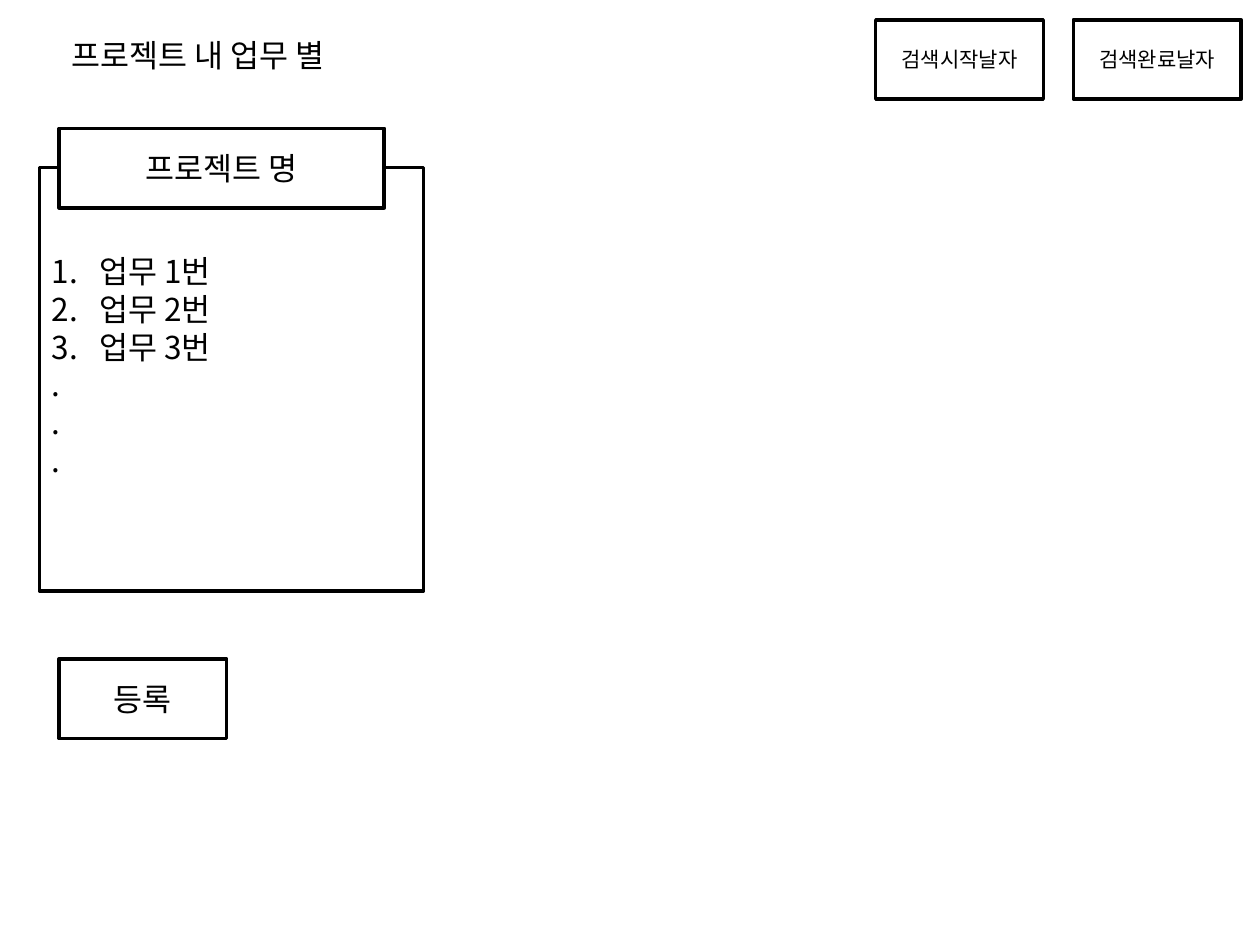
from dataclasses import dataclass

from lxml.etree import SubElement
from pptx import Presentation
from pptx.dml.color import RGBColor
from pptx.enum.shapes import MSO_SHAPE as Shapes
from pptx.enum.text import MSO_ANCHOR as Anchor, MSO_AUTO_SIZE as AutoSize, PP_ALIGN as Align
from pptx.oxml.ns import qn
from pptx.util import Pt

BLACK = RGBColor(0x00, 0x00, 0x00)
WHITE = RGBColor(0xFF, 0xFF, 0xFF)
FONT = "Noto Sans CJK KR"
TEXT_SIZE = 18
LINE_HEIGHT = 21.7
INDENT = 27
LEFT = 33.8
BUTTON_WIDTH, BOX_HEIGHT = 95.8, 45.4
DATE_LEFT, DATE_TOP, DATE_STEP = 500.4, 11.3, 113
TASK_COUNT, DOT_COUNT = 3, 3


@dataclass(frozen=True)
class Box:
    text: str
    left: float
    top: float
    width: float
    height: float = BOX_HEIGHT
    size: float = TEXT_SIZE


BOXES = [
    Box("프로젝트 명", LEFT, 73.4, 185.8),
    *(
        Box(text, DATE_LEFT + index * DATE_STEP, DATE_TOP, BUTTON_WIDTH, size=12)
        for index, text in enumerate(["검색시작날자", "검색완료날자"])
    ),
    Box("등록", LEFT, 376.6, BUTTON_WIDTH),
]
TASK_PANEL = Box("", 22.5, 95.6, 219.6, 242)


def style_paragraph(paragraph, size: float, align: Align) -> None:
    paragraph.alignment = align
    font = paragraph.font
    font.name = FONT
    font.size = Pt(size)
    font.color.rgb = BLACK
    properties = paragraph._p.get_or_add_pPr().find(qn("a:defRPr"))
    SubElement(properties, qn("a:ea")).set("typeface", FONT)


def indent_paragraph(paragraph, numbered: bool) -> None:
    paragraph.line_spacing = Pt(LINE_HEIGHT)
    properties = paragraph._p.get_or_add_pPr()
    properties.set("marL", str(Pt(INDENT)))
    properties.set("indent", str(Pt(-INDENT)))
    if numbered:
        number = properties.makeelement(qn("a:buAutoNum"), {"type": "arabicPeriod"})
        properties.find(qn("a:defRPr")).addprevious(number)


def add_rectangle(slide, box: Box):
    shape = slide.shapes.add_shape(
        Shapes.RECTANGLE, Pt(box.left), Pt(box.top), Pt(box.width), Pt(box.height)
    )
    shape.shadow.inherit = False
    shape.fill.solid()
    shape.fill.fore_color.rgb = WHITE
    shape.line.color.rgb = BLACK
    shape.line.width = Pt(2)
    return shape


def add_label_box(slide, box: Box) -> None:
    frame = add_rectangle(slide, box).text_frame
    frame.vertical_anchor = Anchor.MIDDLE
    frame.text = box.text
    style_paragraph(frame.paragraphs[0], box.size, Align.CENTER)


def add_task_panel(slide, box: Box) -> None:
    panel = add_rectangle(slide, box)
    panel.fill.background()
    frame = panel.text_frame
    frame.vertical_anchor = Anchor.TOP
    frame.margin_top = Pt(48)
    tasks = [f"업무 {number}번" for number in range(1, TASK_COUNT + 1)]
    frame.text = "\n".join(tasks + ["."] * DOT_COUNT)
    for index, paragraph in enumerate(frame.paragraphs):
        style_paragraph(paragraph, box.size, Align.LEFT)
        indent_paragraph(paragraph, numbered=index < TASK_COUNT)


def format_title(title, text: str) -> None:
    title.left, title.top, title.width, title.height = Pt(LEFT), Pt(16.6), Pt(179.3), Pt(29)
    frame = title.text_frame
    frame.text = text
    frame.word_wrap = False
    frame.auto_size = AutoSize.NONE
    frame.vertical_anchor = Anchor.MIDDLE
    frame.margin_top = frame.margin_bottom = 0
    style_paragraph(frame.paragraphs[0], TEXT_SIZE, Align.LEFT)


presentation = Presentation()
presentation.slide_width = Pt(720)
presentation.slide_height = Pt(540)
slide = presentation.slides.add_slide(presentation.slide_layouts[5])
format_title(slide.shapes.title, "프로젝트 내 업무 별")
add_task_panel(slide, TASK_PANEL)
for box in BOXES:
    add_label_box(slide, box)
presentation.save("out.pptx")
